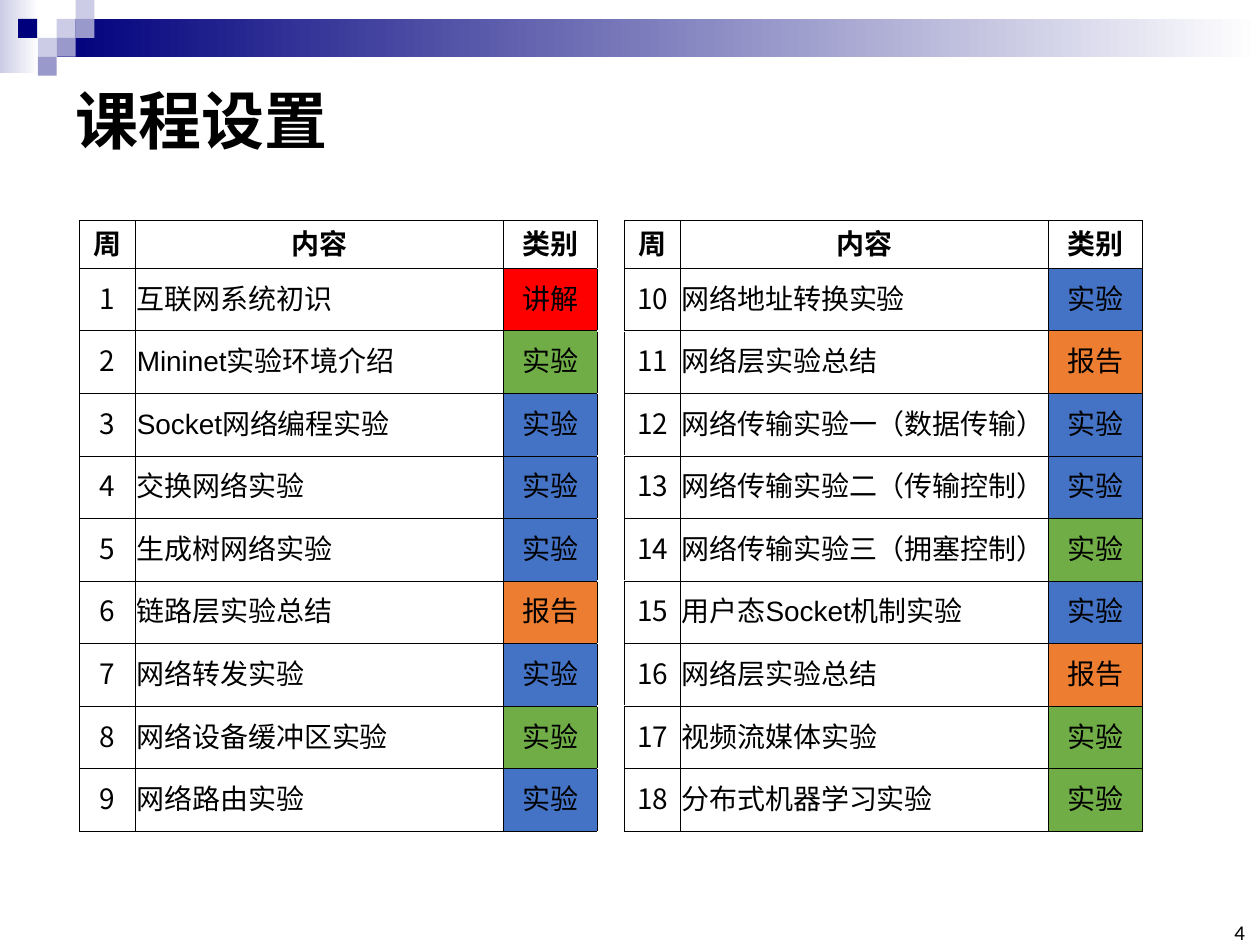
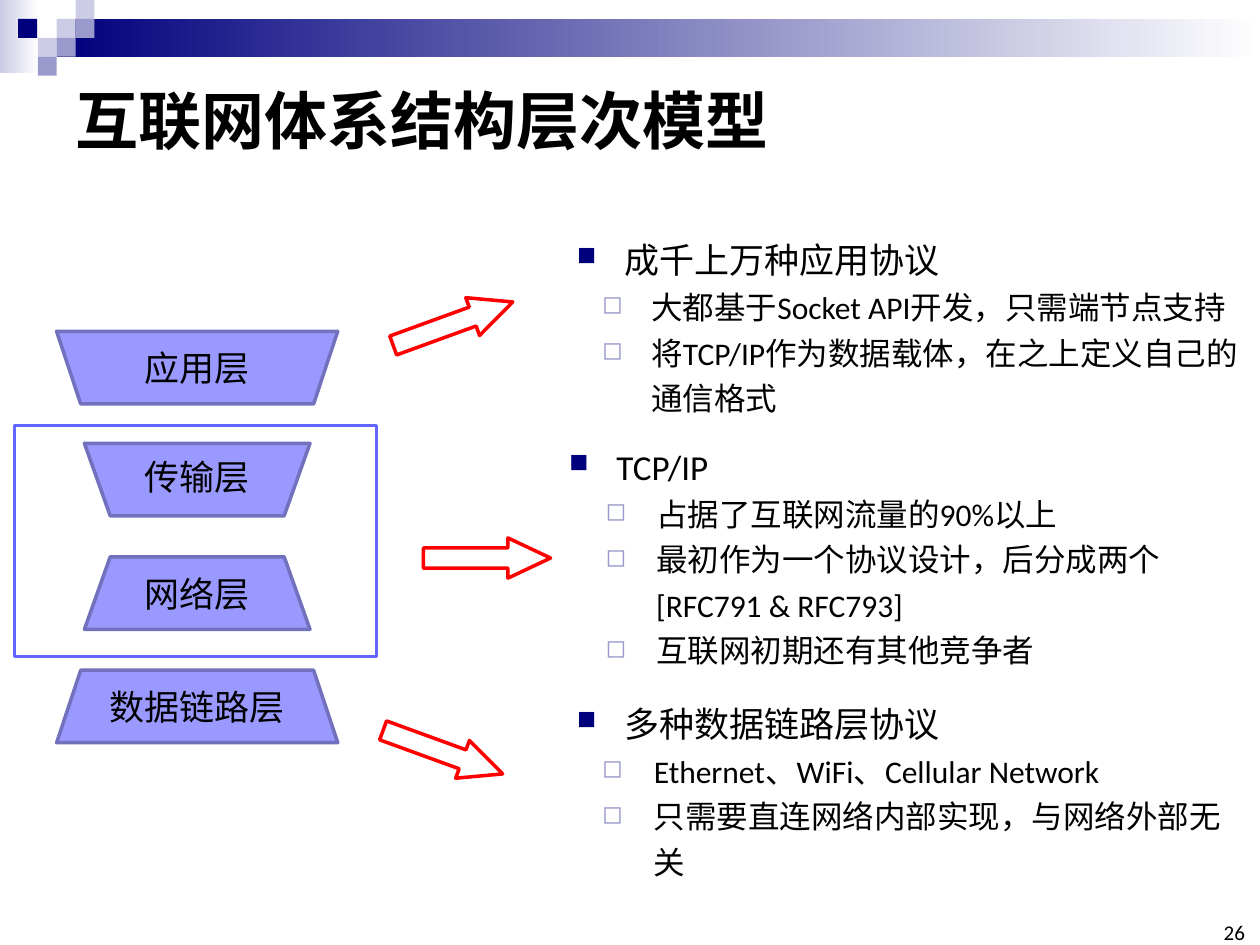
from lxml.etree import SubElement
from pptx import Presentation
from pptx.dml.color import RGBColor
from pptx.enum.shapes import MSO_SHAPE
from pptx.enum.text import MSO_ANCHOR, MSO_AUTO_SIZE, PP_ALIGN
from pptx.oxml.ns import qn
from pptx.util import Pt

NAVY, MID, PALE = "00007D", "9999CC", "CCCCE6"
BLACK, WHITE, RED = "000000", "FFFFFF", "FF0000"
BLUE, GREEN, ORANGE = "4472C4", "70AD47", "ED7D31"
CJK = "Noto Sans CJK SC"


def paint(shape, fill=None, fade=None, line=None):
    """Fill a shape plainly, or as a gradient to fade, and outline it."""
    shape.shadow.inherit = False
    if fade:
        shape.fill.gradient()
        shape.fill.gradient_angle = 0
        for stop, tone in zip(shape.fill.gradient_stops, (fill, fade)):
            stop.color.rgb = RGBColor.from_string(tone)
    elif fill:
        shape.fill.solid()
        shape.fill.fore_color.rgb = RGBColor.from_string(fill)
    else:
        shape.fill.background()
    if line:
        shape.line.color.rgb = RGBColor.from_string(line)
        shape.line.width = Pt(2)
    else:
        shape.line.fill.background()


def write(para, text, size, face="Calibri", bold=False):
    """Add one black run, with the shared font for Chinese letters."""
    run = para.add_run()
    run.text = text
    run.font.size = Pt(size)
    run.font.name = face
    run.font.bold = bold
    run.font.color.rgb = RGBColor.from_string(BLACK)
    east = SubElement(run.font._element, qn("a:ea"))
    east.set("typeface", CJK)


deck = Presentation()
deck.slide_width, deck.slide_height = Pt(720), Pt(540)

# Shared band, title and page number
bands = [
    (0, 0, 22.3, 41.8, PALE, WHITE),
    (32.4, 10.8, 687.6, 21.6, NAVY, WHITE),
]
tile = 10.8
tiles = [
    (32.4, 10.8, PALE), (43.2, 0, PALE), (43.2, 10.8, MID),
    (21.6, 21.6, PALE), (10.4, 10.8, NAVY), (32.4, 21.6, MID),
    (21.6, 32.4, MID),
]
bands += [(x, y, tile, tile, tone, None) for x, y, tone in tiles]

slides = []
for title, page in (("课程设置", "4"), ("互联网体系结构层次模型", "26")):
    slide = deck.slides.add_slide(deck.slide_layouts[5])
    slides.append(slide)
    for x, y, w, h, tone, fade in bands:
        band = slide.shapes.add_shape(
            MSO_SHAPE.RECTANGLE, Pt(x), Pt(y), Pt(w), Pt(h))
        paint(band, tone, fade)

    head = slide.shapes.title
    head.left, head.top, head.width, head.height = Pt(36), Pt(36), Pt(648), Pt(64)
    frame = head.text_frame
    frame.auto_size = MSO_AUTO_SIZE.NONE
    frame.vertical_anchor = MSO_ANCHOR.MIDDLE
    frame.paragraphs[0].alignment = PP_ALIGN.LEFT
    write(frame.paragraphs[0], title, 36, bold=True)

    foot = slide.shapes.add_textbox(Pt(694.8), Pt(527.8), Pt(16.6), Pt(12.2))
    frame = foot.text_frame
    frame.margin_left = frame.margin_right = 0
    frame.margin_top = frame.margin_bottom = 0
    frame.vertical_anchor = MSO_ANCHOR.BOTTOM
    frame.paragraphs[0].alignment = PP_ALIGN.RIGHT
    write(frame.paragraphs[0], page, 12)

plan, model = slides

# Course plan: weeks 1 to 9 on the left, 10 to 18 on the right
topics = [
    ("互联网系统初识", "讲解", RED),
    ("Mininet实验环境介绍", "实验", GREEN),
    ("Socket网络编程实验", "实验", BLUE),
    ("交换网络实验", "实验", BLUE),
    ("生成树网络实验", "实验", BLUE),
    ("链路层实验总结", "报告", ORANGE),
    ("网络转发实验", "实验", BLUE),
    ("网络设备缓冲区实验", "实验", GREEN),
    ("网络路由实验", "实验", BLUE),
    ("网络地址转换实验", "实验", BLUE),
    ("网络层实验总结", "报告", ORANGE),
    ("网络传输实验一（数据传输）", "实验", BLUE),
    ("网络传输实验二（传输控制）", "实验", BLUE),
    ("网络传输实验三（拥塞控制）", "实验", GREEN),
    ("用户态Socket机制实验", "实验", BLUE),
    ("网络层实验总结", "报告", ORANGE),
    ("视频流媒体实验", "实验", GREEN),
    ("分布式机器学习实验", "实验", GREEN),
]
half = len(topics) // 2
wide = [32, 210.3, 53.8]
cols = wide + [15.4] + wide
gap = len(wide)
table = plan.shapes.add_table(
    half + 1, len(cols), Pt(45.5), Pt(126), Pt(sum(cols)), Pt(349)).table
table.first_row = table.horz_banding = False
for col, width in zip(table.columns, cols):
    col.width = Pt(width)

for r, row in enumerate(table.rows):
    row.height = Pt(35.75 if r else 27.3)
    for c, cell in enumerate(row.cells):
        cell.fill.background()
        cell.margin_left = cell.margin_right = cell.margin_top = Pt(0.7)
        cell.margin_bottom = Pt(3.6)
        cell.vertical_anchor = MSO_ANCHOR.MIDDLE
        if c != gap:
            side, part = divmod(c, gap + 1)
            para = cell.text_frame.paragraphs[0]
            para.alignment = PP_ALIGN.CENTER
            if r == 0:
                write(para, ("周", "内容", "类别")[part], 16, "Arial", True)
            else:
                week = side * half + r
                topic, sort, tone = topics[week - 1]
                text = (str(week), topic, sort)[part]
                write(para, text, 16, "Arial" if part else CJK)
                if part == 1:
                    para.alignment = PP_ALIGN.LEFT
                if part == 2:
                    cell.fill.solid()
                    cell.fill.fore_color.rgb = RGBColor.from_string(tone)
        props = cell._tc.get_or_add_tcPr()
        edges = ("lnL", "lnR") if c == gap else ("lnL", "lnR", "lnT", "lnB")
        for spot, edge in enumerate(edges):
            line = props.makeelement(qn("a:" + edge), {"w": str(Pt(0.5))})
            ink = SubElement(SubElement(line, qn("a:solidFill")), qn("a:srgbClr"))
            ink.set("val", BLACK)
            props.insert(spot, line)

# Layer stack: an hourglass, upper half turned over
layers = [
    ("应用层", 189.4, 194.4, True, True),
    ("传输层", 253.4, 256.3, False, True),
    ("网络层", 318.2, 323.3, False, False),
    ("数据链路层", 383, 388.1, True, False),
]
mid = 112.7
for name, top, label, broad, turned in layers:
    width, slant = (160.6, 0.332) if broad else (128.9, 0.356)
    layer = model.shapes.add_shape(
        MSO_SHAPE.TRAPEZOID, Pt(mid - width / 2), Pt(top), Pt(width), Pt(41.4))
    layer.adjustments[0] = slant
    paint(layer, "9999FF", line="7171BD")
    if turned:
        layer._element.spPr.find(qn("a:xfrm")).set("flipV", "1")
    width = 20 * len(name) + 14.4
    box = model.shapes.add_textbox(
        Pt(mid - width / 2), Pt(label), Pt(width), Pt(31.7))
    box.text_frame.word_wrap = False
    box.text_frame.vertical_anchor = MSO_ANCHOR.MIDDLE
    write(box.text_frame.paragraphs[0], name, 20, CJK)

core = model.shapes.add_shape(
    MSO_SHAPE.RECTANGLE, Pt(8.4), Pt(243.2), Pt(206.7), Pt(132))
paint(core, line="6565FF")

for x, y, turn in ((222.5, 173.5, 340), (241.9, 307.4, 0), (216.7, 418.3, 20)):
    arrow = model.shapes.add_shape(
        MSO_SHAPE.RIGHT_ARROW, Pt(x), Pt(y), Pt(72.7), Pt(23))
    arrow.adjustments[1] = 1.06
    arrow.rotation = turn
    paint(arrow, line=RED)

# Notes beside the stack: box, then left margin and hang of the sub-points
notes = [
    ((322.6, 126.7, 395.3, 116.6), 42.5, 28.1, [
        "成千上万种应用协议",
        "大都基于Socket API开发，只需端节点支持",
        "将TCP/IP作为数据载体，在之上定义自己的通信格式"]),
    ((318.2, 244.8, 384.5, 144.7), 49.7, 28.8, [
        "TCP/IP",
        "占据了互联网流量的90%以上",
        "最初作为一个协议设计，后分成两个[RFC791 & RFC793]",
        "互联网初期还有其他竞争者"]),
    ((322.6, 391.7, 388.8, 116.6), 43.9, 29.5, [
        "多种数据链路层协议",
        "Ethernet、WiFi、Cellular Network",
        "只需要直连网络内部实现，与网络外部无关"]),
]
for place, inset, hang, lines in notes:
    box = model.shapes.add_textbox(*map(Pt, place))
    frame = box.text_frame
    frame.word_wrap = True
    for i, text in enumerate(lines):
        para = frame.add_paragraph() if i else frame.paragraphs[0]
        para.level = min(i, 1)
        para.line_spacing = Pt(26 if i else 30)
        props = para._p.get_or_add_pPr()
        props.set("marL", str(Pt(inset if i else 27)))
        props.set("indent", str(-Pt(hang if i else 27)))
        mark, tone, scale = ("◻", MID, "80000") if i else ("■", NAVY, "75000")
        ink = SubElement(SubElement(props, qn("a:buClr")), qn("a:srgbClr"))
        ink.set("val", tone)
        SubElement(props, qn("a:buSzPct")).set("val", scale)
        SubElement(props, qn("a:buChar")).set("char", mark)
        write(para, text, 18 if i else 20)

deck.save("out.pptx")
